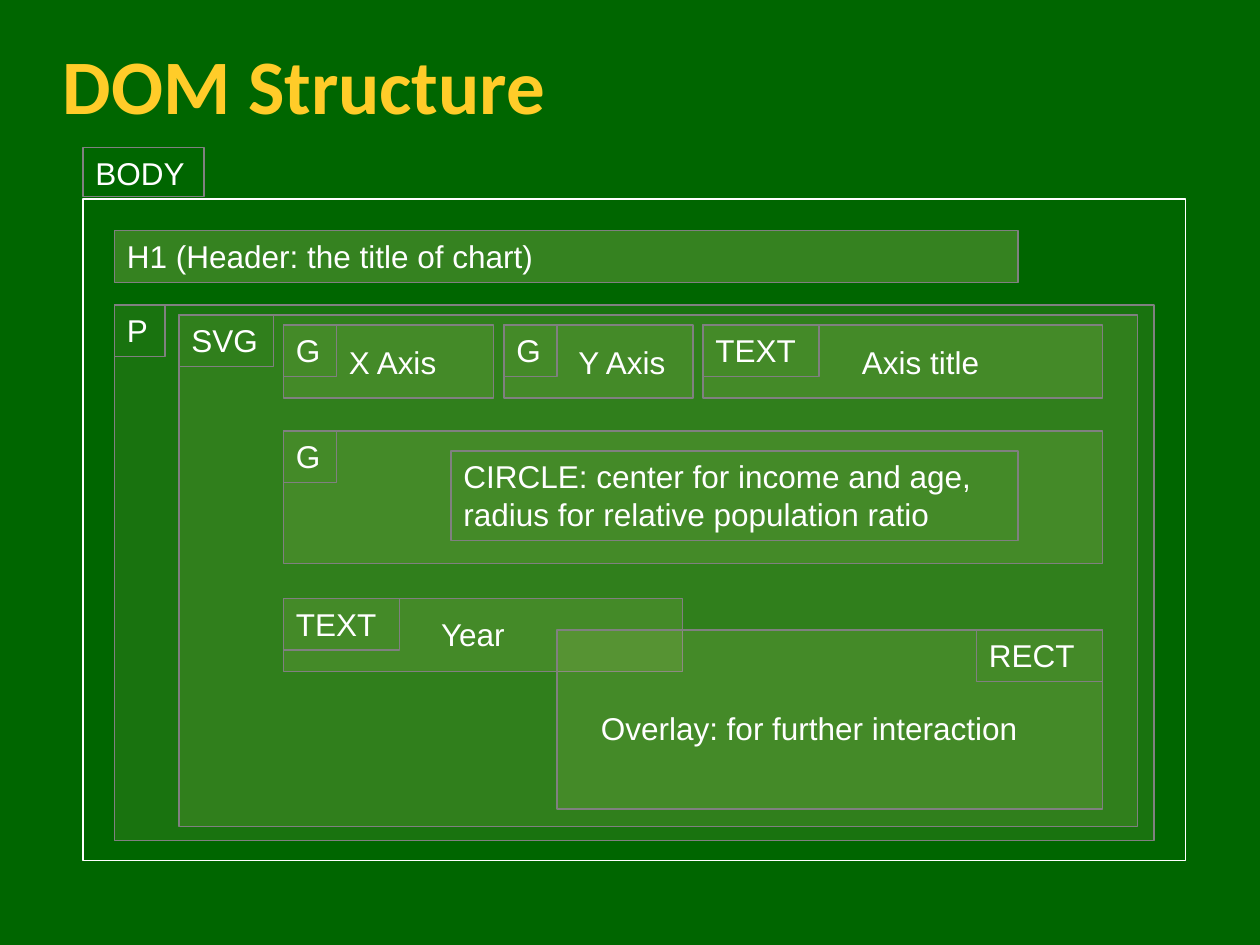
"""Build a slide of nested boxes that shows the DOM structure of a chart."""
from lxml import etree
from pptx import Presentation
from pptx import util as u
from pptx.dml.color import RGBColor
from pptx.enum import shapes, text
from pptx.oxml import ns

GREEN = RGBColor(0x00, 0x66, 0x00)
CREAM = RGBColor(0xFC, 0xEB, 0x98)
GRAY = RGBColor(0x80, 0x80, 0x80)
WHITE = RGBColor(0xFF, 0xFF, 0xFF)
GOLD = RGBColor(0xFF, 0xCC, 0x29)
TAG = 0.41


def write(shape, words, size=18, font="Arial", color=WHITE, bold=False, inset=0.1):
    """Put left-aligned, wrapped text at the top of a shape."""
    frame = shape.text_frame
    frame.word_wrap = True
    frame.vertical_anchor = text.MSO_ANCHOR.TOP
    frame.margin_left = u.Inches(inset)
    frame.text = words
    para = frame.paragraphs[0]
    para.alignment = text.PP_ALIGN.LEFT
    face = para.runs[0].font
    face.size, face.name, face.bold = u.Pt(size), font, bold
    face.color.rgb = color


def box(home, left, top, width, height, words="", fill=None, alpha=10, line=GRAY):
    """Add an outlined rectangle, tinted if a fill is given."""
    shape = home.add_shape(shapes.MSO_SHAPE.RECTANGLE,
                           *map(u.Inches, (left, top, width, height)))
    shape.shadow.inherit = False
    shape.line.color.rgb = line
    shape.line.width = u.Pt(0.75)
    if fill is None:
        shape.fill.background()
    else:
        shape.fill.solid()
        shape.fill.fore_color.rgb = fill
        color = shape.fill._xPr.find(".//" + ns.qn("a:srgbClr"))
        etree.SubElement(color, ns.qn("a:alpha"), val=str(alpha * 1000))
    if words:
        write(shape, words)
    return shape


def label(home, left, top, width, words, inset=0.1):
    """Add a line of plain text."""
    item = home.add_textbox(*map(u.Inches, (left, top, width, 0.4)))
    write(item, words, inset=inset)


def node(home, left, top, width, height, tag, wide, shift=0):
    """Add a tinted element with its tag name in a top corner."""
    box(home, left, top, width, height, fill=CREAM)
    box(home, left + shift, top, wide, TAG, tag)


def title(home):
    """Add the slide title."""
    item = home.add_textbox(*map(u.Inches, (0.4, 0.33, 9.18, 0.76)))
    write(item, "DOM Structure", 44, "Calibri", GOLD, True)
    item.text_frame.vertical_anchor = text.MSO_ANCHOR.MIDDLE
    item.text_frame.paragraphs[0].line_spacing = 0.9


def main():
    """Build and save the slide."""
    deck = Presentation()
    deck.slide_width, deck.slide_height = u.Inches(10), u.Inches(7.5)
    slide = deck.slides.add_slide(deck.slide_layouts[6])
    slide.background.fill.solid()
    slide.background.fill.fore_color.rgb = GREEN
    page = slide.shapes

    box(page, 0.66, 1.58, 8.75, 5.25, fill=GREEN, alpha=40, line=WHITE)
    box(page, 0.66, 1.17, 0.96, 0.39, "BODY")
    title(page)
    box(page, 0.91, 1.83, 7.17, TAG, "H1 (Header: the title of chart)", CREAM, 21)

    node(page.add_group_shape().shapes, 0.91, 2.42, 8.25, 4.25, "P", 0.4)
    node(page.add_group_shape().shapes, 1.42, 2.5, 7.61, 4.06, "SVG", 0.75)
    node(page, 2.25, 3.42, 6.5, 1.05, "G", 0.42)

    axis = page.add_group_shape().shapes
    node(axis, 2.25, 2.58, 1.67, 0.58, "G", 0.42)
    label(axis, 2.67, 2.67, 1, "X Axis")
    node(page, 4, 2.58, 1.5, 0.58, "G", 0.42)
    label(page, 4.42, 2.67, 1.08, "Y Axis", 0.17)
    node(page, 5.58, 2.58, 3.17, 0.58, "TEXT", 0.92)
    label(page, 6.67, 2.67, 1.92, "Axis title", 0.17)

    box(page, 3.58, 3.58, 4.5, 0.71,
        "CIRCLE: center for income and age, radius for relative population ratio")
    node(page, 2.25, 4.75, 3.17, 0.58, "TEXT", 0.92)
    label(page, 3.33, 4.83, 1.08, "Year", 0.17)
    node(page, 4.42, 5, 4.33, 1.42, "RECT", 1, 3.33)
    label(page, 4.67, 5.58, 3.92, "Overlay: for further interaction")
    deck.save("out.pptx")


main()
